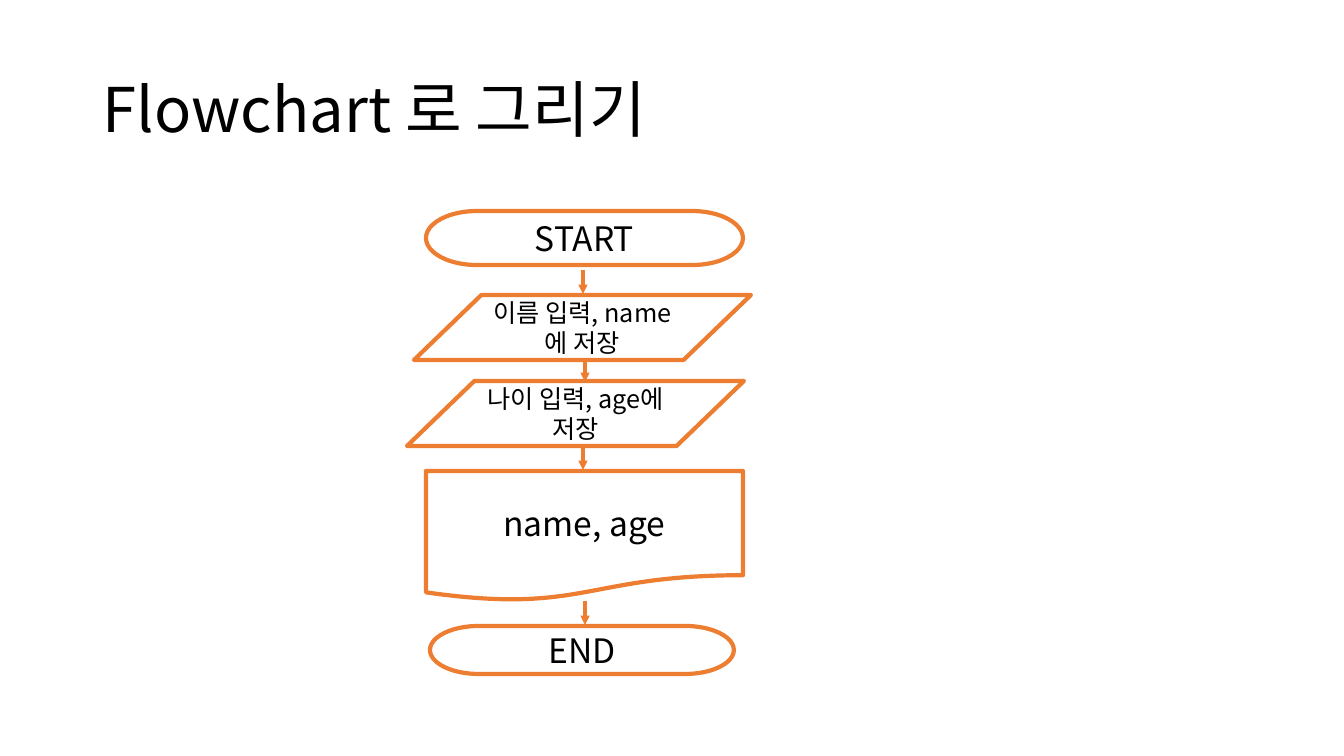
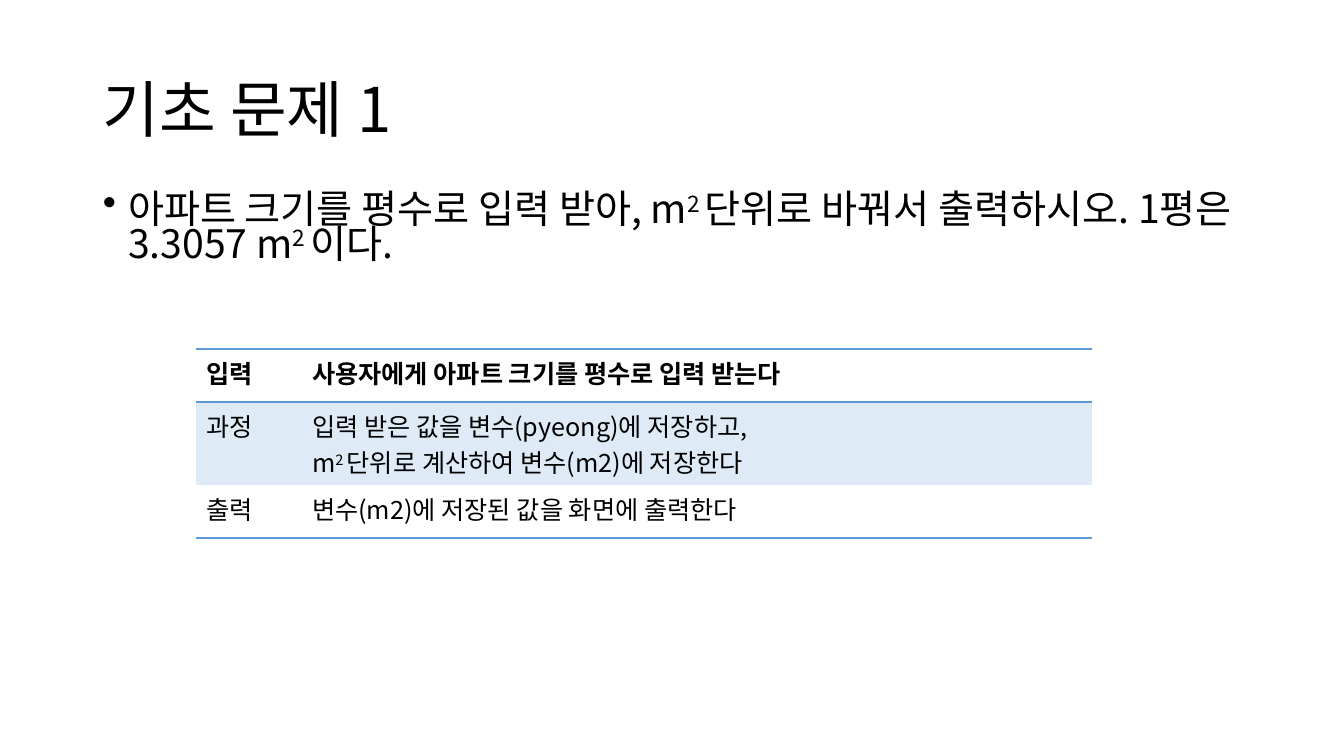
"""Build a flowchart slide and a practice problem slide."""
from lxml import etree
from pptx import Presentation
from pptx.dml.color import RGBColor
from pptx.enum.shapes import MSO_CONNECTOR, MSO_SHAPE
from pptx.enum.text import MSO_ANCHOR, PP_ALIGN
from pptx.oxml.ns import qn
from pptx.util import Emu, Pt

TERMINATOR = MSO_SHAPE.FLOWCHART_TERMINATOR
INPUT = MSO_SHAPE.FLOWCHART_DATA
DOCUMENT = MSO_SHAPE.FLOWCHART_DOCUMENT
STRAIGHT = MSO_CONNECTOR.STRAIGHT
LEFT, CENTER = PP_ALIGN.LEFT, PP_ALIGN.CENTER
TOP, MIDDLE = MSO_ANCHOR.TOP, MSO_ANCHOR.MIDDLE

FONT = "Noto Sans CJK KR"
BLACK, WHITE, ORANGE = "000000", "FFFFFF", "ED7D31"
BLUE, PALE_BLUE = "5B9BD5", "DEEBF7"
NO_STYLE = "{2D5ABB26-0587-4C30-8999-92F81FD0307C}"

SLIDE_SIZE = (1344, 756)
TITLE_BOX = (93, 40, 1159, 146)
BODY_BOX = (93, 186, 1159, 480)

FLOW_TITLE = "Flowchart 로 그리기"
STEPS = [
    (TERMINATOR, "START", 24, (426, 211, 317, 54)),
    (INPUT, "이름 입력, name에 저장", 18, (414, 295, 337, 65)),
    (INPUT, "나이 입력, age에 저장", 18, (407, 381, 337, 65)),
    (DOCUMENT, "name, age", 24, (426, 471, 317, 130)),
    (TERMINATOR, "END", 24, (430, 626, 304, 48)),
]
ARROW_LENGTH = 24
ARROWS = [(583, 270), (585, 358), (583, 446), (585, 601)]

PROBLEM_TITLE = "기초 문제 1"
PROBLEM = "아파트 크기를 평수로 입력 받아, m^2 ^단위로 바꿔서 출력하시오. 1평은 3.3057 m^2 ^이다."
TABLE_AT = (196, 349)
COLUMN_WIDTHS = (106, 790)
ROW_HEIGHTS = (53, 83, 53)
STAGES = [
    ("입력", "사용자에게 아파트 크기를 평수로 입력 받는다"),
    ("과정", "입력 받은 값을 변수(pyeong)에 저장하고,\nm^2 ^단위로 계산하여 변수(m2)에 저장한다"),
    ("출력", "변수(m2)에 저장된 값을 화면에 출력한다"),
]
STAGE_FILLS = (None, PALE_BLUE, None)
STAGE_BORDERS = (("a:lnT", "a:lnB"), (), ("a:lnB",))


def px(length):
    return Emu(round(length * 914400 / 100.8))


def box(lengths):
    return [px(length) for length in lengths]


def color(hex_string):
    return RGBColor.from_string(hex_string)


def write(frame, text, size, align=LEFT, bold=False, spacing=None):
    for index, line in enumerate(text.split("\n")):
        paragraph = frame.add_paragraph() if index else frame.paragraphs[0]
        paragraph.alignment = align
        if spacing:
            paragraph.line_spacing = spacing
        font = paragraph.font
        font.size, font.bold, font.name = Pt(size), bold, FONT
        font.color.rgb = color(BLACK)
        defaults = paragraph._p.pPr.find(qn("a:defRPr"))
        etree.SubElement(defaults, qn("a:ea"), typeface=FONT)
        for part, words in enumerate(text_part for text_part in line.split("^")):
            run = paragraph.add_run()
            run.text = words
            if part % 2:
                run._r.get_or_add_rPr().set("baseline", "30000")


def add_text(slide, bounds, text, size, anchor, spacing):
    frame = slide.shapes.add_textbox(*box(bounds)).text_frame
    frame.word_wrap = True
    frame.vertical_anchor = anchor
    write(frame, text, size, spacing=spacing)
    return frame


def add_slide(deck, title):
    slide = deck.slides.add_slide(deck.slide_layouts[6])
    add_text(slide, TITLE_BOX, title, 44, MIDDLE, 0.9)
    return slide


def add_step(flow, kind, text, size, bounds):
    step = flow.shapes.add_shape(kind, *box(bounds))
    step.shadow.inherit = False
    step.fill.solid()
    step.fill.fore_color.rgb = color(WHITE)
    step.line.color.rgb = color(ORANGE)
    step.line.width = Pt(3)
    step.text_frame.word_wrap = True
    step.text_frame.vertical_anchor = MIDDLE
    write(step.text_frame, text, size, CENTER)


def add_arrow(flow, x, y):
    arrow = flow.shapes.add_connector(STRAIGHT, *box((x, y, x, y + ARROW_LENGTH)))
    arrow.line.color.rgb = color(ORANGE)
    arrow.line.width = Pt(2.25)
    etree.SubElement(arrow.line._get_or_add_ln(), qn("a:tailEnd"), type="triangle")
    etree.SubElement(arrow._element.spPr, qn("a:effectLst"))


def add_bullet(paragraph):
    properties = paragraph._p.get_or_add_pPr()
    properties.set("marL", str(px(25.2)))
    properties.set("indent", str(-px(25.2)))
    bullet = etree.Element(qn("a:buChar"), char="•")
    properties.find(qn("a:defRPr")).addprevious(bullet)


def add_border(cell, side):
    border = etree.SubElement(cell._tc.get_or_add_tcPr(), qn(side), w=str(Pt(1)))
    fill = etree.SubElement(border, qn("a:solidFill"))
    etree.SubElement(fill, qn("a:srgbClr"), val=BLUE)


def add_stages(slide):
    bounds = (*TABLE_AT, sum(COLUMN_WIDTHS), sum(ROW_HEIGHTS))
    table = slide.shapes.add_table(len(STAGES), len(COLUMN_WIDTHS), *box(bounds)).table
    table.horz_banding = False
    table._tbl.tblPr.find(qn("a:tableStyleId")).text = NO_STYLE
    for column, width in zip(table.columns, COLUMN_WIDTHS):
        column.width = px(width)
    for index, (row, height) in enumerate(zip(table.rows, ROW_HEIGHTS)):
        row.height = px(height)
        for cell, text in zip(row.cells, STAGES[index]):
            write(cell.text_frame, text, 18, bold=index == 0)
            for side in STAGE_BORDERS[index]:
                add_border(cell, side)
            if STAGE_FILLS[index]:
                cell.fill.solid()
                cell.fill.fore_color.rgb = color(STAGE_FILLS[index])
            else:
                cell.fill.background()


deck = Presentation()
deck.slide_width, deck.slide_height = box(SLIDE_SIZE)

flow = add_slide(deck, FLOW_TITLE).shapes.add_group_shape()
for step in STEPS:
    add_step(flow, *step)
for start in ARROWS:
    add_arrow(flow, *start)

problem_slide = add_slide(deck, PROBLEM_TITLE)
problem = add_text(problem_slide, BODY_BOX, PROBLEM, 28, TOP, 0.74)
problem.margin_top = px(10)
add_bullet(problem.paragraphs[0])
add_stages(problem_slide)

deck.save("out.pptx")
